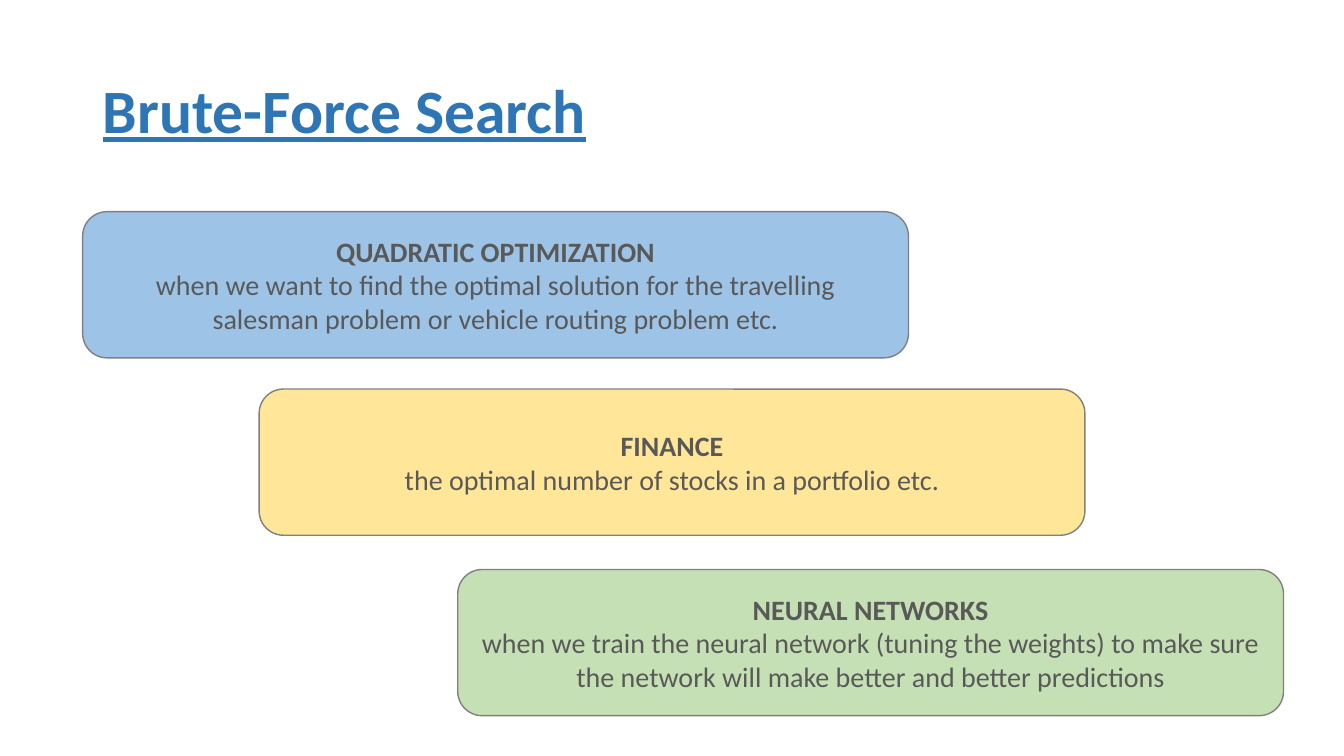
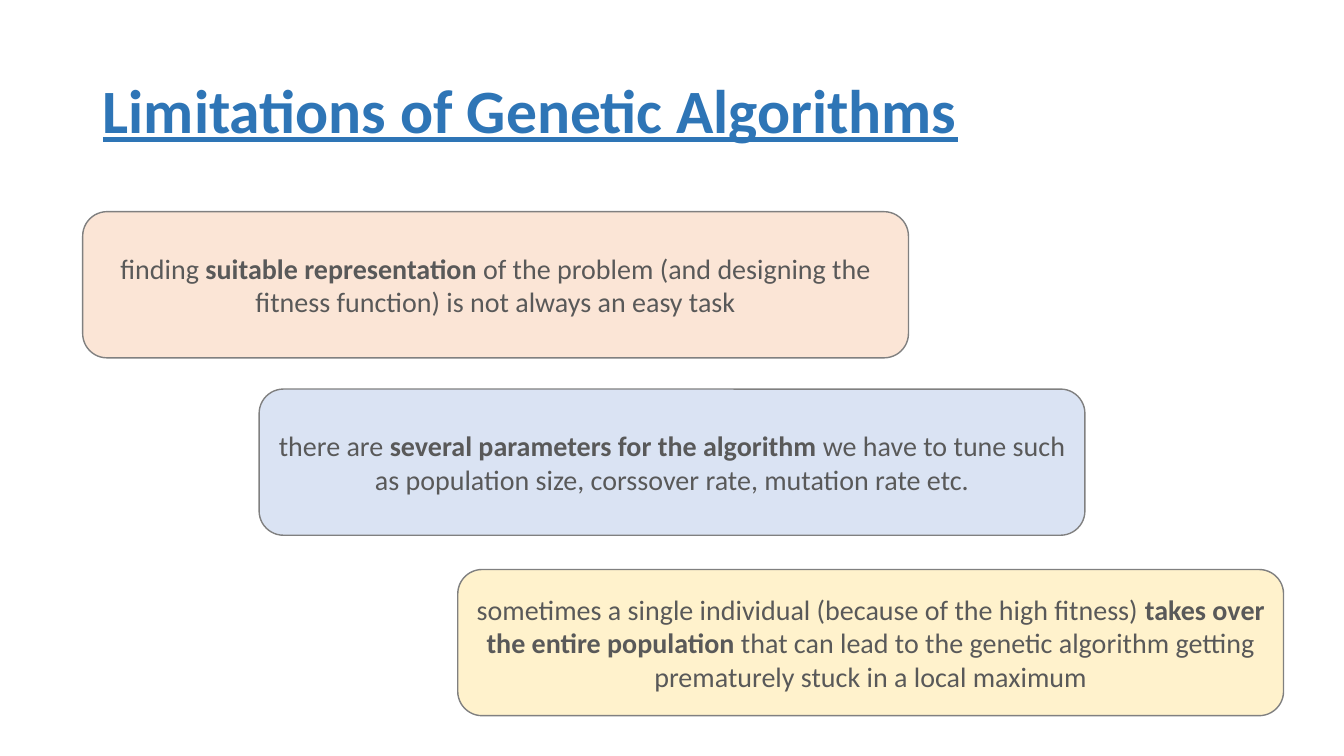
from dataclasses import dataclass

from pptx import Presentation
from pptx.dml.color import RGBColor
from pptx.enum.shapes import MSO_SHAPE
from pptx.enum.text import MSO_ANCHOR, MSO_AUTO_SIZE, PP_ALIGN
from pptx.slide import Slide
from pptx.text.text import TextFrame
from pptx.util import Emu, Pt

TITLE_BLUE = RGBColor(0x2E, 0x75, 0xB6)
TEXT_GRAY = RGBColor(0x59, 0x59, 0x59)
OUTLINE_GRAY = RGBColor(0x80, 0x80, 0x80)
SKY_BLUE = RGBColor(0x9D, 0xC3, 0xE6)
GOLD = RGBColor(0xFF, 0xE6, 0x99)
GREEN = RGBColor(0xC5, 0xE0, 0xB4)
PEACH = RGBColor(0xFB, 0xE5, 0xD6)
PALE_BLUE = RGBColor(0xDA, 0xE3, 0xF3)
CREAM = RGBColor(0xFF, 0xF2, 0xCC)

PX_PER_INCH = 100
SLIDE_SIZE = (1333, 750)
TITLE_BOX = (92, 40, 1150, 145)
CARD_SIZE = (819, 145)
CARD_CORNERS = ((82, 210), (257, 386), (454, 565))

TITLE_FONT = {"name": "Calibri", "size": Pt(44), "bold": True, "underline": True}
CARD_FONT = {"name": "Calibri", "size": Pt(20)}
FRAME_FORMAT = {
    "word_wrap": True,
    "auto_size": MSO_AUTO_SIZE.NONE,
    "vertical_anchor": MSO_ANCHOR.MIDDLE,
}


@dataclass(frozen=True)
class TextRun:
    text: str
    bold: bool = False


@dataclass(frozen=True)
class Card:
    fill: RGBColor
    paragraphs: list[list[TextRun]]


@dataclass(frozen=True)
class SlideContent:
    title: str
    cards: list[Card]


def headed(heading: str, text: str) -> list[list[TextRun]]:
    """Return a bold heading paragraph followed by a plain one."""
    return [[TextRun(heading, True)], [TextRun(text)]]


def emphasized(before: str, emphasis: str, after: str) -> list[list[TextRun]]:
    """Return one paragraph with a bold phrase in the middle."""
    return [[TextRun(before), TextRun(emphasis, True), TextRun(after)]]


SLIDES = [
    SlideContent("Brute-Force Search", [
        Card(SKY_BLUE, headed(
            "QUADRATIC OPTIMIZATION",
            "when we want to find the optimal solution for the travelling "
            "salesman problem or vehicle routing problem etc.")),
        Card(GOLD, headed(
            "FINANCE", "the optimal number of stocks in a portfolio etc.")),
        Card(GREEN, headed(
            "NEURAL NETWORKS",
            "when we train the neural network (tuning the weights) to make sure "
            "the network will make better and better predictions")),
    ]),
    SlideContent("Limitations of Genetic Algorithms", [
        Card(PEACH, emphasized(
            "finding", " suitable representation ",
            "of the problem (and designing the fitness function) "
            "is not always an easy task")),
        Card(PALE_BLUE, emphasized(
            "there are ", "several parameters for the algorithm ",
            "we have to tune such as population size, corssover rate, "
            "mutation rate etc.")),
        Card(CREAM, emphasized(
            "sometimes a single individual (because of the high fitness) ",
            "takes over the entire population ",
            "that can lead to the genetic algorithm getting prematurely "
            "stuck in a local maximum")),
    ]),
]


def px(length: int) -> Emu:
    return Emu(length * 914400 // PX_PER_INCH)


def apply_format(target: object, values: dict[str, object]) -> None:
    for name, value in values.items():
        setattr(target, name, value)


def add_title(slide: Slide, text: str) -> None:
    title = slide.shapes.title
    title.left, title.top, title.width, title.height = map(px, TITLE_BOX)
    title.text_frame.text = text
    apply_format(title.text_frame, FRAME_FORMAT)
    paragraph = title.text_frame.paragraphs[0]
    apply_format(paragraph, {"alignment": PP_ALIGN.LEFT, "line_spacing": 0.9})
    font = paragraph.runs[0].font
    apply_format(font, TITLE_FONT)
    font.color.rgb = TITLE_BLUE


def write_paragraphs(frame: TextFrame, paragraphs: list[list[TextRun]]) -> None:
    for index, text_runs in enumerate(paragraphs):
        paragraph = frame.add_paragraph() if index else frame.paragraphs[0]
        paragraph.alignment = PP_ALIGN.CENTER
        for text_run in text_runs:
            run = paragraph.add_run()
            run.text = text_run.text
            apply_format(run.font, CARD_FONT | {"bold": text_run.bold})
            run.font.color.rgb = TEXT_GRAY


def add_card(slide: Slide, card: Card, corner: tuple[int, int]) -> None:
    shape = slide.shapes.add_shape(
        MSO_SHAPE.ROUNDED_RECTANGLE, *map(px, corner + CARD_SIZE))
    shape.shadow.inherit = False
    shape.fill.solid()
    shape.fill.fore_color.rgb = card.fill
    shape.line.color.rgb = OUTLINE_GRAY
    shape.line.width = Pt(1)
    apply_format(shape.text_frame, FRAME_FORMAT)
    write_paragraphs(shape.text_frame, card.paragraphs)


def main() -> None:
    presentation = Presentation()
    presentation.slide_width, presentation.slide_height = map(px, SLIDE_SIZE)
    title_only = presentation.slide_layouts.get_by_name("Title Only")
    for content in SLIDES:
        slide = presentation.slides.add_slide(title_only)
        add_title(slide, content.title)
        for card, corner in zip(content.cards, CARD_CORNERS):
            add_card(slide, card, corner)
    presentation.save("out.pptx")


if __name__ == "__main__":
    main()
